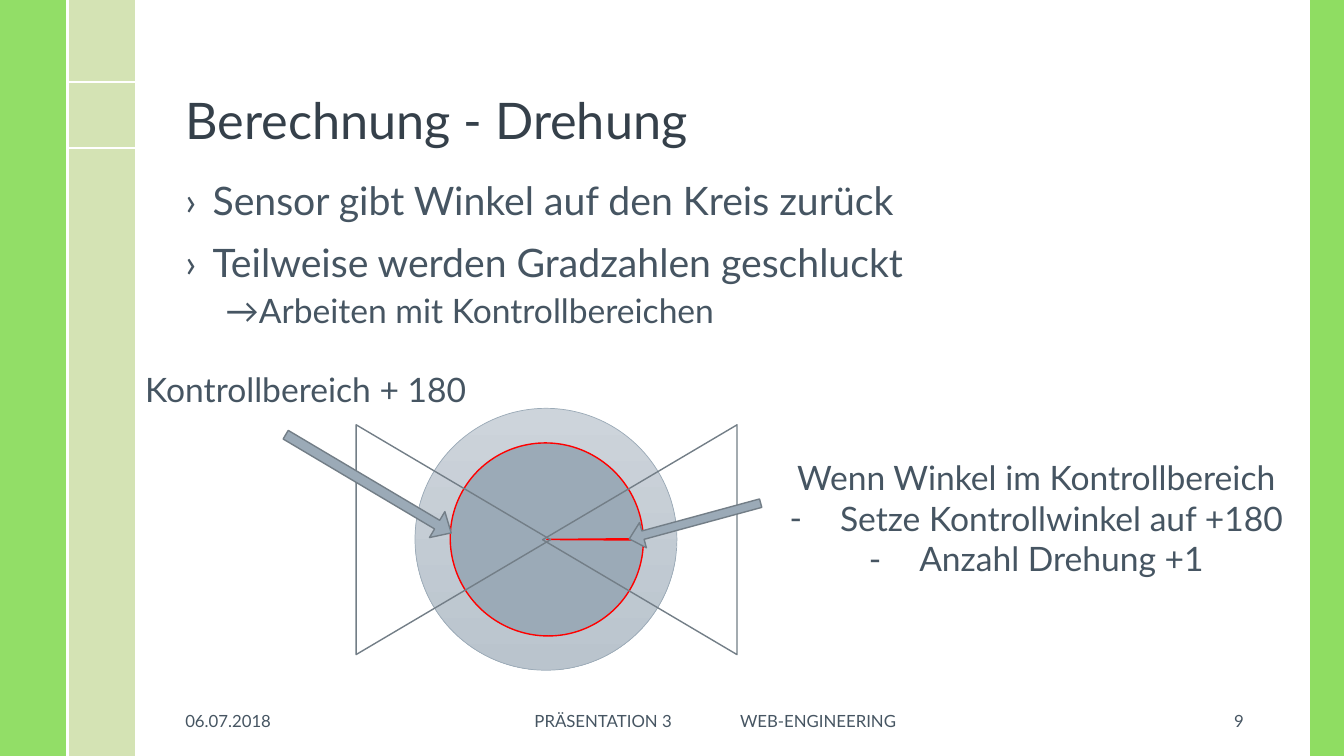
from dataclasses import dataclass
from typing import Optional

import pptx
import pptx.dml.color
import pptx.enum.shapes
import pptx.enum.text
import pptx.oxml.ns
import pptx.shapes.autoshape
import pptx.slide
import pptx.text.text
import pptx.util
from lxml import etree

Cm = pptx.util.Cm
Pt = pptx.util.Pt
RGBColor = pptx.dml.color.RGBColor
Kind = pptx.enum.shapes.MSO_SHAPE
Align = pptx.enum.text.PP_ALIGN
Anchor = pptx.enum.text.MSO_ANCHOR
qn = pptx.oxml.ns.qn

GREEN = RGBColor(0x83, 0xDA, 0x52)
PALE_GREEN = RGBColor(0xD4, 0xE3, 0xB4)
WHITE = RGBColor(0xFF, 0xFF, 0xFF)
TITLE_GREY = RGBColor(0x35, 0x40, 0x4A)
TEXT_GREY = RGBColor(0x46, 0x55, 0x62)
STEEL = RGBColor(0x9B, 0xAA, 0xB7)
OUTLINE = RGBColor(0x73, 0x7E, 0x87)
DISC_TOP = RGBColor(0xCD, 0xD4, 0xDB)
DISC_BOTTOM = RGBColor(0xBA, 0xC4, 0xCD)
RED = RGBColor(0xFF, 0x00, 0x00)
FONT = "Lato"
WIDTH, HEIGHT = 33.87, 19.05
STRIP = 1.7

Box = tuple[float, float, float, float]


@dataclass
class Figure:
    kind: Kind
    box: Box
    fill: Optional[RGBColor] = None
    line: Optional[RGBColor] = None
    weight: float = 1
    rotation: float = 0
    adjustments: tuple[float, ...] = ()
    opacity: int = 100


@dataclass
class Line:
    text: str
    size: float
    bullet: str = ""
    margin: float = 0
    hanging: float = 0
    before: float = 0
    spacing: float = 1
    level: int = 0
    align: Align = Align.LEFT
    color: RGBColor = TEXT_GREY


@dataclass
class Block:
    box: Box
    lines: list[Line]
    anchor: Anchor = Anchor.TOP
    wrap: bool = True


ARROW_HEAD = (0.332, 0.542)
BANDS = [
    Figure(Kind.RECTANGLE, (33.02, 0, WIDTH - 33.02, HEIGHT), GREEN, opacity=90),
    Figure(Kind.RECTANGLE, (STRIP, 0, STRIP, HEIGHT), PALE_GREEN),
    Figure(Kind.RECTANGLE, (0, 0, STRIP, HEIGHT), GREEN, opacity=88),
]
BAND_RULES = [
    (STRIP, 2.06, 2 * STRIP, 2.06),
    (STRIP, 3.73, 2 * STRIP, 3.73),
    (STRIP, 0, STRIP, HEIGHT),
]
DIAL = Figure(Kind.OVAL, (10.46, 10.29, 6.6, 6.6), DISC_TOP, STEEL, 0.5)
SENSOR_ANGLE = Figure(Kind.PIE, (11.33, 11.18, 4.9, 4.83), STEEL, RED,
                      rotation=44.2, adjustments=(189.698, 189.191))
CONTROL_ZONES = [
    Figure(Kind.ISOSCELES_TRIANGLE, (left, 11.15, 5.79, 4.9), line=OUTLINE, rotation=turn)
    for left, turn in ((13.23, 270), (8.53, 90))
]
POINTERS = [
    Figure(Kind.LEFT_ARROW, box, STEEL, OUTLINE, rotation=turn, adjustments=ARROW_HEAD)
    for box, turn in (((15.8, 12.8, 3.43, 0.66), 344.8), ((6.86, 11.81, 4.85, 0.76), 210.7))
]

TITLE = Block((4.42, 0.48, 27.18, 3.45),
              [Line("Berechnung - Drehung", 36, spacing=0.9, color=TITLE_GREY)], Anchor.BOTTOM)
POINTS = Block((4.42, 4.45, 27.18, 12.7), [
    Line("Sensor gibt Winkel auf den Kreis zurück", 28, "›", 0.69, 0.69, 14, 0.9),
    Line("Teilweise werden Gradzahlen geschluckt", 28, "›", 0.69, 0.69, 14, 0.9),
    Line("Arbeiten mit Kontrollbereichen", 24, "→", 1.7, 0.69, 6, 0.9, 1),
])
RULE_NOTE = Block((19.46, 11.4, 13.31, 4.37), [
    Line("Wenn Winkel im Kontrollbereich", 24, align=Align.CENTER),
    Line("Setze Kontrollwinkel auf +180", 24, "-", 1.27, 1.27, align=Align.CENTER),
    Line("Anzahl Drehung +1", 24, "-", 1.27, 1.27, align=Align.CENTER),
])
ZONE_LABEL = Block((3.25, 9.17, 9.12, 1.27),
                   [Line("Kontrollbereich + 180 ", 24, align=Align.CENTER)], wrap=False)
DATE = Block((4.42, 17.65, 3.38, 1.02), [Line("06.07.2018", 12)], Anchor.MIDDLE)
FOOTER = Block((12.5, 17.65, 11.05, 1.02),
               [Line("PRÄSENTATION 3\tWEB-ENGINEERING", 12)], Anchor.MIDDLE)
PAGE = Block((29.9, 17.65, 1.7, 1.02), [Line("9", 12, align=Align.RIGHT)], Anchor.MIDDLE)


def draw_figure(slide: pptx.slide.Slide, figure: Figure) -> pptx.shapes.autoshape.Shape:
    shape = slide.shapes.add_shape(figure.kind, *map(Cm, figure.box))
    shape.shadow.inherit = False
    shape.rotation = figure.rotation
    for index, value in enumerate(figure.adjustments):
        shape.adjustments[index] = value
    if figure.fill is None:
        shape.fill.background()
    else:
        shape.fill.solid()
        shape.fill.fore_color.rgb = figure.fill
    if figure.opacity < 100:
        color = shape.element.spPr.find(qn("a:solidFill")).find(qn("a:srgbClr"))
        etree.SubElement(color, qn("a:alpha"), val=str(figure.opacity * 1000))
    if figure.line is None:
        shape.line.fill.background()
    else:
        shape.line.color.rgb = figure.line
        shape.line.width = Pt(figure.weight)
    return shape


def draw_rule(slide: pptx.slide.Slide, ends: Box) -> None:
    rule = slide.shapes.add_connector(pptx.enum.shapes.MSO_CONNECTOR.STRAIGHT, *map(Cm, ends))
    rule.line.color.rgb = WHITE
    rule.line.width = Pt(1.5)
    etree.SubElement(rule.element.spPr, qn("a:effectLst"))


def write_line(paragraph: pptx.text.text._Paragraph, line: Line) -> None:
    paragraph.alignment = line.align
    paragraph.level = line.level
    paragraph.line_spacing = line.spacing
    paragraph.space_before = Pt(line.before)
    if line.bullet:
        properties = paragraph._p.get_or_add_pPr()
        properties.set("marL", str(Cm(line.margin)))
        properties.set("indent", str(-Cm(line.hanging)))
        etree.SubElement(properties, qn("a:buFont"), typeface=FONT)
        etree.SubElement(properties, qn("a:buChar"), char=line.bullet)
    run = paragraph.add_run()
    run.text = line.text
    run.font.name = FONT
    run.font.size = Pt(line.size)
    run.font.color.rgb = line.color


def fill_block(shape: pptx.shapes.autoshape.Shape, block: Block) -> None:
    shape.left, shape.top, shape.width, shape.height = map(Cm, block.box)
    frame = shape.text_frame
    frame.word_wrap = block.wrap
    frame.auto_size = pptx.enum.text.MSO_AUTO_SIZE.NONE
    frame.vertical_anchor = block.anchor
    for index, line in enumerate(block.lines):
        write_line(frame.add_paragraph() if index else frame.paragraphs[0], line)


def add_block(slide: pptx.slide.Slide, block: Block) -> pptx.shapes.autoshape.Shape:
    shape = slide.shapes.add_textbox(*map(Cm, block.box))
    fill_block(shape, block)
    return shape


def align_footer(footer: pptx.shapes.autoshape.Shape) -> None:
    """Place the two footer parts with an inset and a tab stop."""
    footer.text_frame.margin_left = Cm(0.97)
    properties = footer.text_frame.paragraphs[0]._p.get_or_add_pPr()
    stops = etree.SubElement(properties, qn("a:tabLst"))
    etree.SubElement(stops, qn("a:tab"), pos=str(Cm(5.18)), algn="l")


def main() -> None:
    deck = pptx.Presentation()
    deck.slide_width, deck.slide_height = Cm(WIDTH), Cm(HEIGHT)
    slide = deck.slides.add_slide(deck.slide_layouts[5])
    for band in BANDS:
        draw_figure(slide, band)
    for ends in BAND_RULES:
        draw_rule(slide, ends)
    fill_block(slide.shapes.title, TITLE)
    add_block(slide, POINTS)
    add_block(slide, DATE)
    align_footer(add_block(slide, FOOTER))
    add_block(slide, PAGE)

    dial = draw_figure(slide, DIAL)
    dial.fill.gradient()
    dial.fill.gradient_angle = 270
    for stop, color in zip(dial.fill.gradient_stops, (DISC_TOP, DISC_BOTTOM)):
        stop.color.rgb = color
    for stop, position in zip(dial.fill.gradient_stops, (0, 1)):
        stop.position = position
    draw_figure(slide, SENSOR_ANGLE)
    add_block(slide, RULE_NOTE)
    add_block(slide, ZONE_LABEL)
    for figure in CONTROL_ZONES + POINTERS:
        draw_figure(slide, figure)
    deck.save("out.pptx")


if __name__ == "__main__":
    main()
